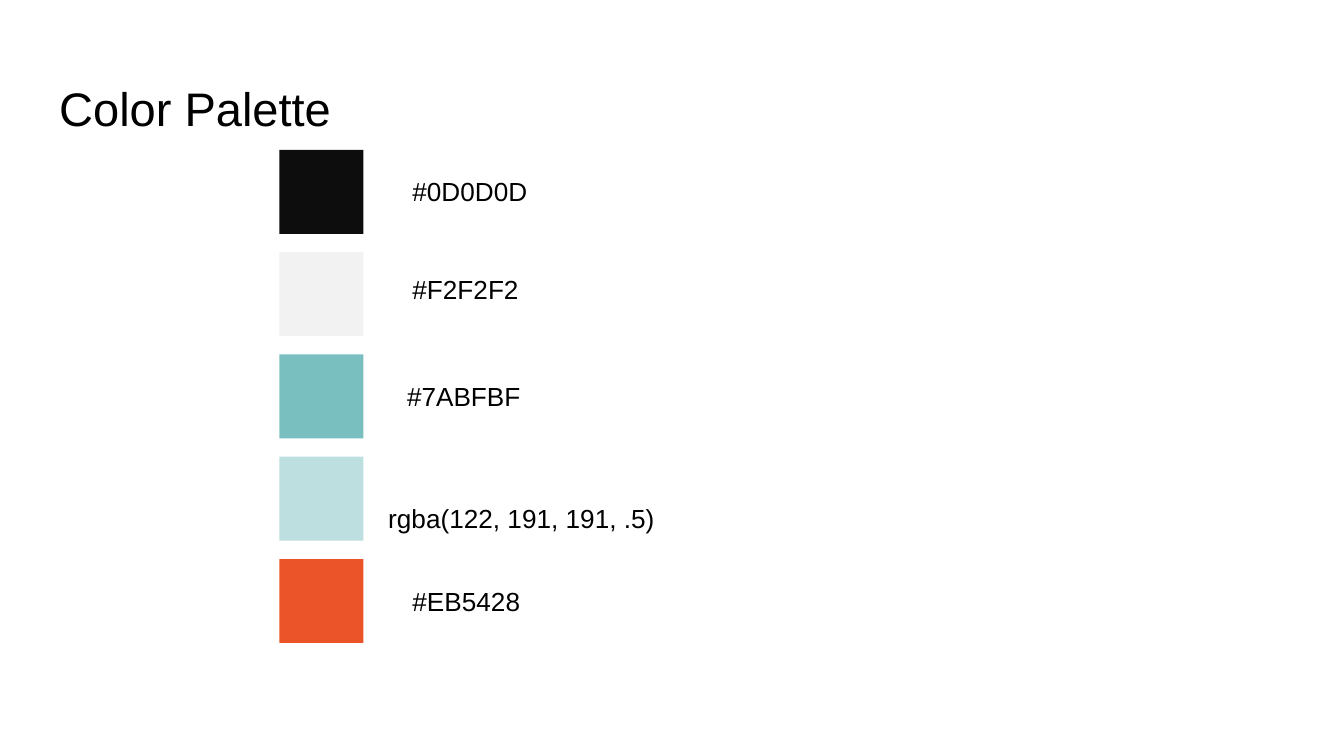
from lxml import etree
from pptx import Presentation
from pptx.dml.color import RGBColor
from pptx.enum.shapes import MSO_SHAPE
from pptx.enum.text import MSO_ANCHOR, MSO_AUTO_SIZE, PP_ALIGN
from pptx.oxml.ns import qn
from pptx.util import Pt

RECT = MSO_SHAPE.RECTANGLE
TOP, MIDDLE = MSO_ANCHOR.TOP, MSO_ANCHOR.MIDDLE
GROW, FIXED = MSO_AUTO_SIZE.SHAPE_TO_FIT_TEXT, MSO_AUTO_SIZE.NONE
LEFT = PP_ALIGN.LEFT

TITLE = "Color Palette"
SWATCHES = [
    {"fill": "0D0D0D", "text": "#0D0D0D", "box": (594, 241, 398, 88)},
    {"fill": "F2F2F2", "text": "#F2F2F2", "box": (594, 387, 398, 88)},
    {"fill": "7ABFBF", "text": "#7ABFBF", "box": (586, 546, 398, 88)},
    {"fill": "7ABFBF", "text": "rgba(122, 191, 191, .5)",
     "box": (558, 704, 656, 88), "alpha": 49, "space": 1.5},
    {"fill": "EB5428", "text": "#EB5428", "box": (594, 851, 398, 88)},
]
THEME = {"font": "Arial", "ink": "000000", "title": 25.2, "label": 14}

PX = 4572
SIDE, PITCH, START_X, START_Y = 125, 152.25, 416, 223
INSET = 20


def emu(*vals):
    return [round(v * PX) for v in vals]


def place(shape, box):
    shape.left, shape.top, shape.width, shape.height = emu(*box)


def write(shape, text, size, anchor, fit, space=1.0):
    frame = shape.text_frame
    pad = emu(INSET)[0]
    form = {"word_wrap": True, "auto_size": fit, "vertical_anchor": anchor,
            "margin_left": pad, "margin_right": pad,
            "margin_top": pad, "margin_bottom": pad}
    for name, val in form.items():
        setattr(frame, name, val)
    para = frame.paragraphs[0]
    para.alignment = LEFT
    para.line_spacing = space
    run = para.add_run()
    run.text = text
    run.font.name = THEME["font"]
    run.font.size = Pt(size)
    run.font.color.rgb = RGBColor.from_string(THEME["ink"])


def swatch(slide, row, item):
    tile = slide.shapes.add_shape(
        RECT, *emu(START_X, START_Y + row * PITCH, SIDE, SIDE))
    tile.shadow.inherit = False
    tile.line.fill.background()
    tile.fill.solid()
    tile.fill.fore_color.rgb = RGBColor.from_string(item["fill"])
    if "alpha" in item:
        color = tile.fill._xPr.find(".//" + qn("a:srgbClr"))
        alpha = etree.SubElement(color, qn("a:alpha"))
        alpha.set("val", str(item["alpha"] * 1000))


def main():
    deck = Presentation()
    deck.slide_width, deck.slide_height = emu(2000, 1125)
    slide = deck.slides.add_slide(deck.slide_layouts[5])
    title = slide.shapes.title
    place(title, (68, 98, 1864, 126))
    write(title, TITLE, THEME["title"], MIDDLE, FIXED)
    for row, item in enumerate(SWATCHES):
        swatch(slide, row, item)
        label = slide.shapes.add_textbox(*emu(*item["box"]))
        write(label, item["text"], THEME["label"], TOP, GROW,
              item.get("space", 1.0))
    deck.save("out.pptx")


if __name__ == "__main__":
    main()
